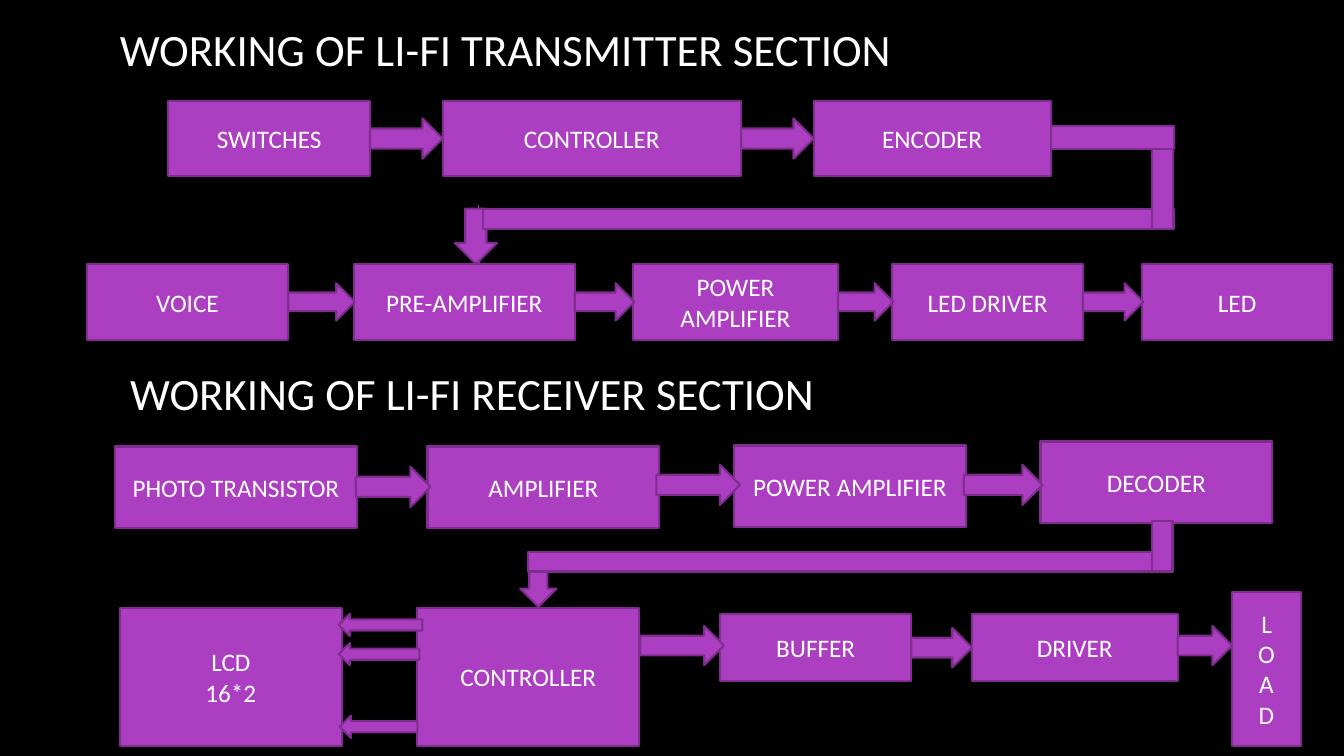
from lxml.etree import SubElement
from pptx import Presentation
from pptx.dml.color import RGBColor
from pptx.enum.shapes import MSO_CONNECTOR, MSO_SHAPE
from pptx.enum.text import MSO_ANCHOR, PP_ALIGN
from pptx.oxml.ns import qn
from pptx.util import Inches, Pt

PURPLE, EDGE, WHITE, BLACK = "AC3EC1", "7F2E8F", "FFFFFF", "000000"
RECT, PROCESS = MSO_SHAPE.RECTANGLE, MSO_SHAPE.FLOWCHART_PROCESS
RIGHT, LEFT, DOWN = MSO_SHAPE.RIGHT_ARROW, MSO_SHAPE.LEFT_ARROW, MSO_SHAPE.DOWN_ARROW
CONTROLLER = "CONTROLLER"


def color(hex_string):
    """Turn a hex string into a colour."""
    return RGBColor.from_string(hex_string)


def style_text(text_frame, text, size, alignment):
    """Write text in the slide's font, one paragraph a line."""
    text_frame.text = text
    text_frame.word_wrap = True
    for paragraph in text_frame.paragraphs:
        paragraph.alignment = alignment
        paragraph.font.name = "Calibri"
        paragraph.font.size = Pt(size)
        paragraph.font.color.rgb = color(WHITE)


def add_part(slide, kind, left, top, width, height, text=""):
    """Add one purple outlined shape, with an optional centred label."""
    shape = slide.shapes.add_shape(kind, Inches(left), Inches(top), Inches(width), Inches(height))
    shape.shadow.inherit = False
    shape.fill.solid()
    shape.fill.fore_color.rgb = color(PURPLE)
    shape.line.color.rgb = color(EDGE)
    shape.line.width = Pt(1.5)
    if text:
        style_text(shape.text_frame, text, 18, PP_ALIGN.CENTER)
        shape.text_frame.vertical_anchor = MSO_ANCHOR.MIDDLE
    return shape


def add_chain(slide, kind, left, top, height, stages, arrow_height, overlap=0):
    """Add a row of (label, offset, width) stages joined by centred right arrows."""
    for label, offset, width in stages:
        add_part(slide, kind, left + offset, top, width, height, label)
    for (_, offset, width), (_, following, _) in zip(stages, stages[1:]):
        start = offset + width
        add_part(slide, RIGHT, left + start, top + (height - arrow_height) / 2,
                 following - start + overlap, arrow_height)


def add_title(slide, left, top, width, height):
    """Add the heading of the transmitter section."""
    box = slide.shapes.add_textbox(Inches(left), Inches(top), Inches(width), Inches(height))
    style_text(box.text_frame, "WORKING OF LI-FI TRANSMITTER SECTION", 32, PP_ALIGN.LEFT)
    box.text_frame.vertical_anchor = MSO_ANCHOR.MIDDLE


def add_table_heading(slide, left, top, width, height):
    """Add the heading of the receiver section as a one-cell table."""
    table = slide.shapes.add_table(1, 1, Inches(left), Inches(top), Inches(width), Inches(height)).table
    table.first_row = table.horz_banding = False
    cell = table.cell(0, 0)
    cell.fill.solid()
    cell.fill.fore_color.rgb = color(BLACK)
    style_text(cell.text_frame, "WORKING OF LI-FI RECEIVER SECTION", 32, PP_ALIGN.LEFT)
    properties = cell._tc.get_or_add_tcPr()
    for position, side in enumerate(("lnL", "lnR", "lnT", "lnB")):
        border = SubElement(properties, qn(f"a:{side}"))
        SubElement(border, qn("a:noFill"))
        properties.insert(position, border)


def add_signal_line(slide, x, top, bottom):
    """Add the thin arrow that runs down behind the feedback path."""
    line = slide.shapes.add_connector(MSO_CONNECTOR.STRAIGHT, Inches(x), Inches(top), Inches(x), Inches(bottom))
    line.line.color.rgb = color(PURPLE)
    line.line.width = Pt(0.75)
    SubElement(line.line._get_or_add_ln(), qn("a:tailEnd"), type="triangle")
    SubElement(line._element.spPr, qn("a:effectLst"))


def add_transmitter(slide, left, top):
    """Draw the transmitter diagram from its top left corner."""
    add_signal_line(slide, left + 3.89, top + 1.03, top + 1.62)
    add_chain(slide, RECT, left, top, 0.75, [
        ("SWITCHES", 0.81, 2), (CONTROLLER, 3.53, 2.96), ("ENCODER", 7.21, 2.35)], 0.4)
    add_chain(slide, RECT, left, top + 1.62, 0.75, [
        ("VOICE", 0, 2), ("PRE-AMPLIFIER", 2.65, 2.19), ("POWER AMPLIFIER", 5.42, 2.03),
        ("LED DRIVER", 7.99, 1.89), ("LED", 10.47, 1.88)], 0.37, 0.01)
    add_part(slide, DOWN, left + 3.65, top + 1.07, 0.42, 0.55)
    for x, y, width, height in [(3.93, 1.07, 6.85, 0.2), (10.57, 0.35, 0.2, 0.92),
                                (9.56, 0.25, 1.22, 0.23)]:
        add_part(slide, PROCESS, left + x, top + y, width, height)


def add_receiver(slide, left, top):
    """Draw the receiver diagram from its top left corner."""
    for label, x, y, width in [("PHOTO TRANSISTOR", 0, 0.05, 2.4), ("AMPLIFIER", 3.1, 0.05, 2.3),
                               ("POWER AMPLIFIER", 6.14, 0.04, 2.3), ("DECODER", 9.18, 0, 2.3)]:
        add_part(slide, PROCESS, left + x, top + y, width, 0.81, label)
    for x, y, width in [(2.39, 0.25, 0.74), (5.37, 0.23, 0.83), (8.42, 0.23, 0.78)]:
        add_part(slide, RIGHT, left + x, top + y, width, 0.4)
    for label, x in [("LCD\n16*2", 0.05), (CONTROLLER, 3)]:
        add_part(slide, PROCESS, left + x, top + 1.65, 2.2, 1.37, label)
    add_chain(slide, PROCESS, left, top + 1.71, 0.67, [
        ("BUFFER", 6, 1.9), ("DRIVER", 8.5, 2.04)], 0.39)
    load = add_part(slide, PROCESS, left + 11.08, top + 1.49, 0.68, 1.53, "LOAD")
    load.text_frame._txBody.bodyPr.set("vert", "wordArtVert")
    for x, y, width in [(2.22, 1.71, 0.83), (2.22, 2, 0.8), (2.23, 2.72, 0.77)]:
        add_part(slide, LEFT, left + x, top + y, width, 0.22)
    for x, width in [(5.21, 0.83), (10.54, 0.54)]:
        add_part(slide, RIGHT, left + x, top + 1.83, width, 0.39)
    add_part(slide, DOWN, left + 4.02, top + 1.13, 0.36, 0.51)
    for x, y, width, height in [(4.1, 1.1, 6.39, 0.19), (10.29, 0.79, 0.2, 0.5)]:
        add_part(slide, RECT, left + x, top + y, width, height)


def main():
    """Build the slide and save it."""
    presentation = Presentation()
    presentation.slide_width, presentation.slide_height = Inches(13.33), Inches(7.5)
    slide = presentation.slides.add_slide(presentation.slide_layouts[6])
    slide.background.fill.solid()
    slide.background.fill.fore_color.rgb = color(BLACK)
    add_title(slide, 1.09, 0.16, 11.16, 0.64)
    add_transmitter(slide, 0.86, 1)
    add_receiver(slide, 1.14, 4.38)
    add_table_heading(slide, 1.19, 3.6, 9.91, 0.63)
    presentation.save("out.pptx")


if __name__ == "__main__":
    main()
